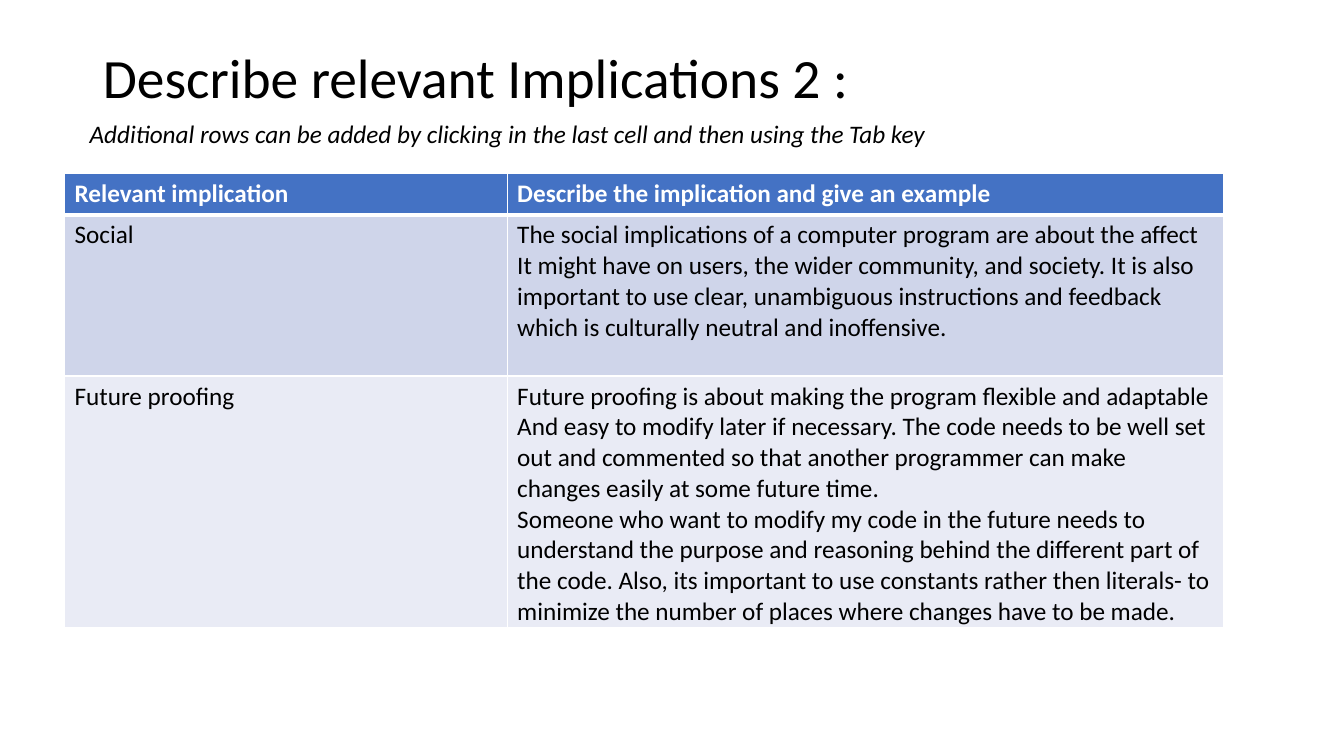
from lxml import etree
from pptx import Presentation, util as u
from pptx.dml.color import RGBColor
from pptx.enum import text
from pptx.oxml.ns import qn

HEADER = ["Relevant implication", "Describe the implication and give an example"]
IMPLICATIONS = [
    ("Social", [
        "The social implications of a computer program are about the affect It might have on "
        "users, the wider community, and society. It is also important to use clear, unambiguous "
        "instructions and feedback which is culturally neutral and inoffensive."]),
    ("Future proofing", [
        "Future proofing is about making the program flexible and adaptable",
        "And easy to modify later if necessary. The code needs to be well set out and commented "
        "so that another programmer can make changes easily at some future time.",
        "Someone who want to modify my code in the future needs to understand the purpose and "
        "reasoning behind the different part of the code. Also, its important to use constants "
        "rather then literals- to minimize the number of places where changes have to be made."]),
]


def rgb(value):
    """Turn a hex string into a colour."""
    return RGBColor.from_string(value)


def box(*lengths):
    """Turn left, top, width and height into lengths."""
    return [u.Inches(x) for x in lengths]


class SlideBuilder:
    """Hold the style and the current slide."""

    font, size, ink, paper = "Calibri", 18, "000000", "FFFFFF"
    head_fill, band_fills = "4472C4", ("CFD5EA", "E9EBF5")
    thin, thick = 1, 3

    def __init__(self, prs):
        """Add a title-only slide."""
        self.s = prs.slides.add_slide(prs.slide_layouts[5])

    def fill_text(self, tf, lines, size=None, color=None, bold=False, italic=False):
        """Fill a text frame with one paragraph per line."""
        tf.word_wrap = True
        for i, line in enumerate(lines):
            p = tf.add_paragraph() if i else tf.paragraphs[0]
            p.text = line
            p.alignment = text.PP_ALIGN.LEFT
            f = p.font
            f.name, f.size = self.font, u.Pt(size or self.size)
            f.bold, f.italic = bold, italic
            f.color.rgb = rgb(color or self.ink)

    def title(self, line, *place):
        """Place and format the title placeholder."""
        sp = self.s.shapes.title
        sp.left, sp.top, sp.width, sp.height = box(*place)
        tf = sp.text_frame
        tf.auto_size = text.MSO_AUTO_SIZE.NONE
        tf.vertical_anchor = text.MSO_ANCHOR.MIDDLE
        self.fill_text(tf, [line], size=39.6)
        tf.paragraphs[0].line_spacing = 1.15

    def note(self, line, *place):
        """Add an italic text box."""
        tf = self.s.shapes.add_textbox(*box(*place)).text_frame
        self.fill_text(tf, [line], italic=True)

    def border(self, cell, top, bottom):
        """Draw white cell borders with the given widths in points."""
        tcPr = cell._tc.get_or_add_tcPr()
        widths = {"a:lnL": self.thin, "a:lnR": self.thin, "a:lnT": top, "a:lnB": bottom}
        for i, (tag, width) in enumerate(widths.items()):
            ln = etree.Element(qn(tag), w=str(u.Pt(width)))
            fill = etree.SubElement(ln, qn("a:solidFill"))
            etree.SubElement(fill, qn("a:srgbClr"), val=self.paper)
            tcPr.insert(i, ln)

    def table(self, rows, widths, heights, left, top):
        """Add a table with a header row and banded body rows."""
        place = box(left, top, sum(widths), sum(heights))
        tbl = self.s.shapes.add_table(len(rows), len(widths), *place).table
        for col, width in zip(tbl.columns, widths):
            col.width = u.Inches(width)
        for i, (row, height) in enumerate(zip(rows, heights)):
            head = i == 0
            color = self.paper if head else self.ink
            fill = self.head_fill if head else self.band_fills[(i - 1) % 2]
            tbl.rows[i].height = u.Inches(height)
            for j, lines in enumerate(row):
                cell = tbl.cell(i, j)
                self.fill_text(cell.text_frame, lines, color=color, bold=head)
                cell.fill.solid()
                cell.fill.fore_color.rgb = rgb(fill)
                self.border(cell, top=self.thick if i == 1 else self.thin,
                            bottom=self.thick if head else self.thin)


prs = Presentation()
prs.slide_width, prs.slide_height = u.Inches(13.33), u.Inches(7.5)
slide = SlideBuilder(prs)
slide.title("Describe relevant Implications 2 :", 0.92, 0.4, 11.5, 0.61)
slide.note("Additional rows can be added by clicking in the last cell and then using the Tab key",
           0.79, 1.12, 10.94, 0.4)
rows = [[[label] for label in HEADER]] + [[[name], lines] for name, lines in IMPLICATIONS]
slide.table(rows, widths=[4.39, 7.11], heights=[0.41, 1.6, 2.5], left=0.64, top=1.72)
prs.save("out.pptx")
